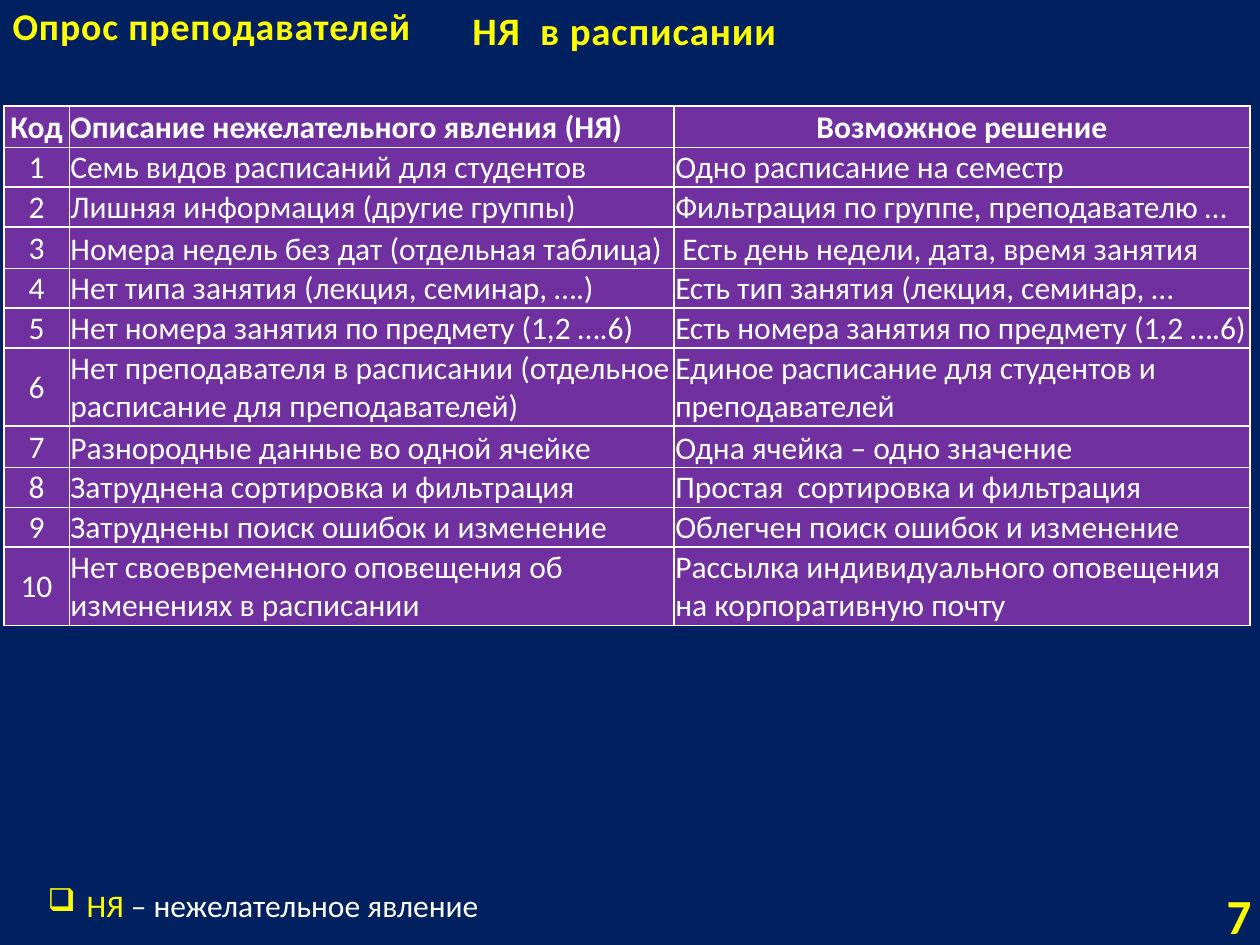
import pptx
import pptx.dml.color
import pptx.enum.text
import pptx.oxml
import pptx.oxml.ns
import pptx.util
from pptx.util import Inches

ALIGN = pptx.enum.text.PP_ALIGN
ANCHOR = pptx.enum.text.MSO_ANCHOR
NAVY, PURPLE, YELLOW, WHITE = "002060", "7030A0", "FFFF00", "FFFFFF"

TITLE = "Опрос преподавателей"
SUBTITLE = "НЯ  в расписании"
PAGE = "7"
LEGEND = [("НЯ", YELLOW), (" – нежелательное явление", WHITE)]
HEADER = ("Код", "Описание нежелательного явления (НЯ)", "Возможное решение")
ISSUES = [
    ("Семь видов расписаний для студентов", "Одно расписание на семестр"),
    ("Лишняя информация (другие группы)", "Фильтрация по группе, преподавателю …"),
    ("Номера недель без дат (отдельная таблица)", " Есть день недели, дата, время занятия"),
    ("Нет типа занятия (лекция, семинар, ….)", "Есть тип занятия (лекция, семинар, …"),
    ("Нет номера занятия по предмету (1,2 ….6)", "Есть номера занятия по предмету (1,2 ….6)"),
    ("Нет преподавателя в расписании (отдельное расписание для преподавателей)",
     "Единое расписание для студентов и преподавателей"),
    ("Разнородные данные во одной ячейке", "Одна ячейка – одно значение"),
    ("Затруднена сортировка и фильтрация", "Простая  сортировка и фильтрация"),
    ("Затруднены поиск ошибок и изменение", "Облегчен поиск ошибок и изменение"),
    ("Нет своевременного оповещения об изменениях в расписании",
     "Рассылка индивидуального оповещения на корпоративную почту"),
]
COL_WIDTHS = (0.52, 4.8, 4.57)
ROW_HEIGHT, TALL_ROW_HEIGHT = 0.29, 0.33
TALL_ROWS = (0, 3, 7)
HEADER_ALIGN = (ALIGN.CENTER, ALIGN.JUSTIFY, ALIGN.CENTER)
BODY_ALIGN = (ALIGN.CENTER, ALIGN.LEFT, ALIGN.LEFT)
CELL_FORMAT = {"margin_left": Inches(0.01), "margin_right": Inches(0.01),
               "margin_top": Inches(0.01), "margin_bottom": 0}


def rgb(value):
    return pptx.dml.color.RGBColor.from_string(value)


def set_attrs(obj, values):
    for name, value in values.items():
        setattr(obj, name, value)


def add_run(p, text, size, color, bold=False, spacing=None):
    r = p.add_run()
    r.text = text
    set_attrs(r.font, {"name": "Calibri", "size": pptx.util.Pt(size), "bold": bold})
    r.font.color.rgb = rgb(color)
    if spacing:
        r.font._element.set("spc", str(int(spacing * 100)))


def place(sp, left, top, width, height, wrap=True, anchor=ANCHOR.MIDDLE, align=ALIGN.LEFT):
    """Position a text shape and return its first paragraph."""
    set_attrs(sp, {"left": Inches(left), "top": Inches(top),
                   "width": Inches(width), "height": Inches(height)})
    tf = sp.text_frame
    set_attrs(tf, {"word_wrap": wrap, "vertical_anchor": anchor,
                   "auto_size": pptx.enum.text.MSO_AUTO_SIZE.NONE})
    p = tf.paragraphs[0]
    p.alignment = align
    return p


def add_text(s, *box, **layout):
    return place(s.shapes.add_textbox(0, 0, 0, 0), *box, **layout)


def add_borders(cell):
    tc_pr = cell._tc.get_or_add_tcPr()
    for side in "LRTB":
        tc_pr.append(pptx.oxml.parse_xml(
            f'<a:ln{side} {pptx.oxml.ns.nsdecls("a")} w="12700"><a:solidFill>'
            f'<a:srgbClr val="{WHITE}"/></a:solidFill></a:ln{side}>'))


def add_issue_table(s):
    rows = [HEADER] + [(str(n), *issue) for n, issue in enumerate(ISSUES, 1)]
    heights = [TALL_ROW_HEIGHT if i in TALL_ROWS else ROW_HEIGHT for i in range(len(rows))]
    table = s.shapes.add_table(len(rows), len(HEADER), Inches(0.03), Inches(0.84),
                               Inches(sum(COL_WIDTHS)), Inches(sum(heights))).table
    table.horz_banding = False
    for column, width in zip(table.columns, COL_WIDTHS):
        column.width = Inches(width)
    for i, texts in enumerate(rows):
        table.rows[i].height = Inches(heights[i])
        aligns = BODY_ALIGN if i else HEADER_ALIGN
        for j, text in enumerate(texts):
            cell = table.cell(i, j)
            set_attrs(cell, CELL_FORMAT)
            cell.vertical_anchor = ANCHOR.BOTTOM if j else ANCHOR.MIDDLE
            add_borders(cell)
            cell.fill.solid()
            cell.fill.fore_color.rgb = rgb(PURPLE)
            p = cell.text_frame.paragraphs[0]
            p.alignment = aligns[j]
            add_run(p, text, 18, WHITE, bold=i == 0)


def add_legend(s):
    p = add_text(s, 0.28, 6.98, 3.86, 0.4, anchor=ANCHOR.TOP)
    p_pr = p._p.get_or_add_pPr()
    indent = Inches(0.31)
    p_pr.set("marL", str(indent))
    p_pr.set("indent", str(-indent))
    p_pr.append(pptx.oxml.parse_xml(f'<a:buChar {pptx.oxml.ns.nsdecls("a")} char="❑"/>'))
    for text, color in LEGEND:
        add_run(p, text, 18, color)


def main():
    prs = pptx.Presentation()
    set_attrs(prs, {"slide_width": Inches(10), "slide_height": Inches(7.5)})
    s = prs.slides.add_slide(prs.slide_layouts[5])
    s.background.fill.solid()
    s.background.fill.fore_color.rgb = rgb(NAVY)

    add_run(place(s.shapes.title, 0, 0.03, 3.58, 0.35, wrap=False),
            TITLE, 21.6, YELLOW, bold=True, spacing=0.5)
    add_run(add_text(s, 9.08, 7.06, 0.95, 0.4, align=ALIGN.RIGHT),
            PAGE, 28, YELLOW, bold=True)
    add_issue_table(s)
    add_run(add_text(s, 3.65, 0.01, 2.68, 0.45, wrap=False),
            SUBTITLE, 22.2, YELLOW, bold=True, spacing=0.5)
    add_legend(s)
    prs.save("out.pptx")


if __name__ == "__main__":
    main()
